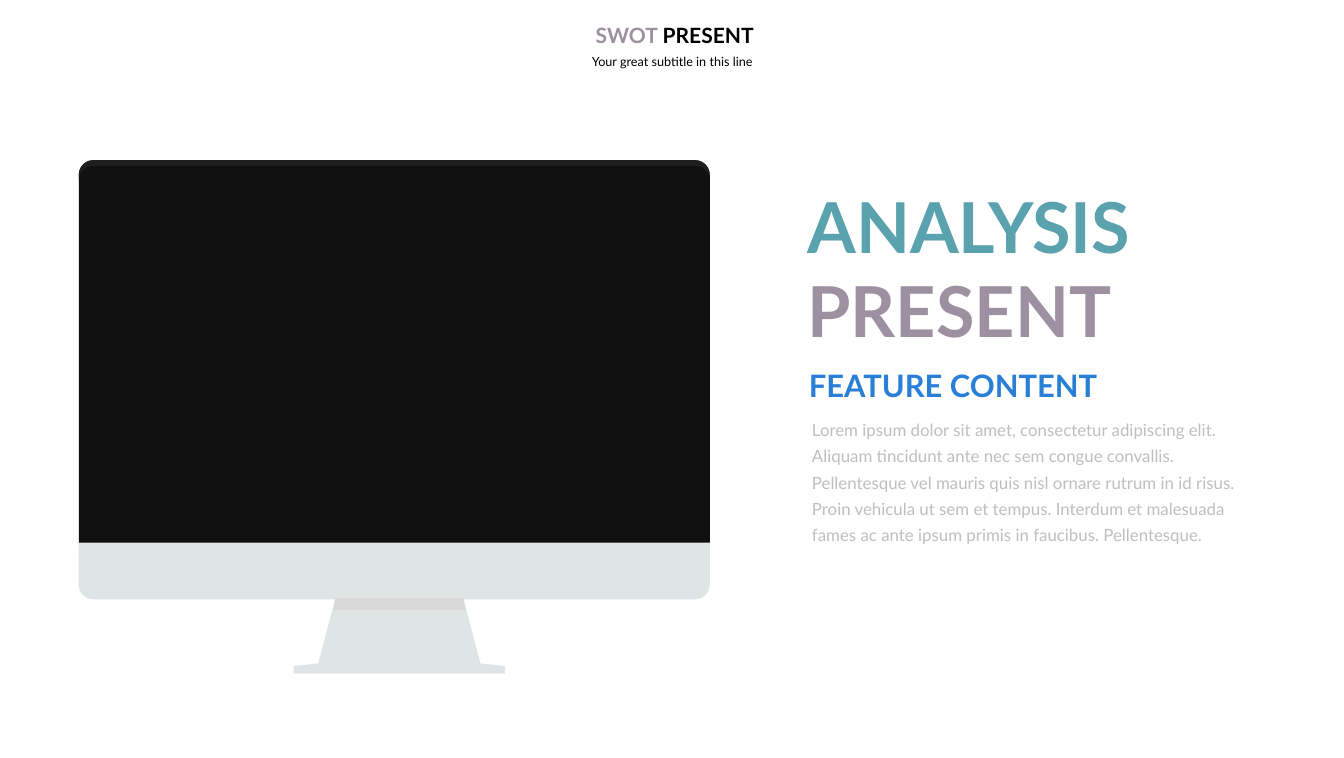
"""Build the SWOT slide: a desktop screen beside a heading and copy."""
from math import cos, radians, sin

from pptx import Presentation, util as u
from pptx.dml.color import RGBColor
from pptx.enum import shapes, text

WIDE, HIGH = u.Inches(26.6), u.Inches(15)
INK = {"glass": "101010", "lip": "1E1E1E", "case": "DFE4E5", "shade": "D8D8D8",
       "body": "BFBFBF", "blue": "297FD5", "teal": "5AA2AE", "mauve": "9D90A0",
       "black": "000000"}

# Places are percent of the slide's width and height.
GLASS = (5.86, 21.13, 46.95, 50.53)
CHIN = (5.86, 71.6, 46.95, 7.47)
ROUND = u.Inches(0.29)
DROP = 0.75
FOOT = [(21.84, 88.87), (21.84, 87.87), (23.68, 87.53), (24.96, 78.93),
        (34.47, 78.93), (35.75, 87.53), (37.59, 87.87), (37.59, 88.87)]
SHADE = [(24.85, 80.47), (24.96, 78.93), (34.47, 78.93), (34.66, 80.47)]

LOREM = ("Lorem ipsum dolor sit amet, consectetur adipiscing elit. Aliquam tincidunt "
         "ante nec sem congue convallis. Pellentesque vel mauris quis nisl ornare rutrum "
         "in id risus. Proin vehicula ut sem et tempus. Interdum et malesuada fames ac "
         "ante ipsum primis in faucibus. Pellentesque.")
MID, LEFT = text.PP_ALIGN.CENTER, text.PP_ALIGN.LEFT
TOP, HALF = text.MSO_ANCHOR.TOP, text.MSO_ANCHOR.MIDDLE
COPY = [
    {"at": (59.4, 53.6, 35.23, 19.27), "runs": [(LOREM, "body")], "size": 24,
     "bold": False, "pad": (0.27, 0.13), "side": LEFT, "hold": HALF, "lead": 1.3},
    {"at": (59.81, 48.07, 28.27, 5.6), "runs": [("FEATURE CONTENT", "blue")], "size": 44,
     "bold": True, "pad": (0.1, 0.05), "side": LEFT, "hold": TOP, "lead": None},
    {"at": (59.7, 23.87, 29.47, 23.13), "runs": [("ANALYSIS ", "teal"), ("PRESENT", "mauve")],
     "size": 100, "bold": True, "pad": (0.1, 0.05), "side": LEFT, "hold": TOP, "lead": None},
    {"at": (34.66, 6.33, 30.71, 3.67), "runs": [("Your great subtitle in this line", "black")],
     "size": 18, "bold": False, "pad": (0.24, 0.12), "side": MID, "hold": TOP, "lead": None},
    {"at": (31.2, 2.27, 38.01, 4.73), "runs": [("SWOT ", "mauve"), ("PRESENT", "black")],
     "size": 30, "bold": True, "pad": (0.2, 0.1), "side": MID, "hold": TOP, "lead": None},
]


def put(item, **vals):
    for key, val in vals.items():
        setattr(item, key, val)


def spot(x, y):
    return round(WIDE * x / 100), round(HIGH * y / 100)


def place(at):
    return *spot(*at[:2]), *spot(*at[2:])


def paint(shape, ink):
    shape.shadow.inherit = False
    shape.fill.solid()
    shape.fill.fore_color.rgb = RGBColor.from_string(INK[ink])
    shape.line.fill.background()


def slab(host, at, ink, top, base):
    box = place(at)
    shape = host.add_shape(shapes.MSO_SHAPE.ROUND_2_SAME_RECTANGLE, *box)
    turn = ROUND / min(box[2:])
    shape.adjustments[0], shape.adjustments[1] = turn * top, turn * base
    paint(shape, ink)


def shell(host, dots, ink):
    form = host.build_freeform(*dots[0])
    form.add_line_segments(dots[1:], close=True)
    paint(form.convert_to_shape(), ink)


def edge():
    left, top, wide, _ = place(GLASS)
    arc = [(ROUND * (1 - cos(radians(a))), ROUND * (1 - sin(radians(a))))
           for a in range(0, 91, 10)]
    rim = [(left + x, top + y) for x, y in arc]
    rim += [(left + wide - x, top + y) for x, y in reversed(arc)]
    drop = spot(0, DROP)[1]
    rim += [(x, y + drop) for x, y in reversed(rim)]
    return [(round(x), round(y)) for x, y in rim]


def write(host, item):
    frame = host.add_textbox(*place(item["at"])).text_frame
    across, down = map(u.Inches, item["pad"])
    put(frame, word_wrap=True, auto_size=text.MSO_AUTO_SIZE.SHAPE_TO_FIT_TEXT,
        vertical_anchor=item["hold"], margin_left=across, margin_right=across,
        margin_top=down, margin_bottom=down)
    para = frame.paragraphs[0]
    put(para, alignment=item["side"], line_spacing=item["lead"])
    for words, ink in item["runs"]:
        run = para.add_run()
        run.text = words
        put(run.font, name="Lato", size=u.Pt(item["size"]), bold=item["bold"])
        run.font.color.rgb = RGBColor.from_string(INK[ink])


def main():
    deck = Presentation()
    put(deck, slide_width=WIDE, slide_height=HIGH)
    slide = deck.slides.add_slide(deck.slide_layouts[6])
    screen = slide.shapes.add_group_shape().shapes
    slab(screen, GLASS, "glass", 1, 0)
    shell(screen, edge(), "lip")
    slab(screen, CHIN, "case", 0, 1)
    for dots, ink in ((FOOT, "case"), (SHADE, "shade")):
        shell(screen, [spot(*dot) for dot in dots], ink)
    for item in COPY:
        write(slide.shapes, item)
    deck.save("out.pptx")


if __name__ == "__main__":
    main()
